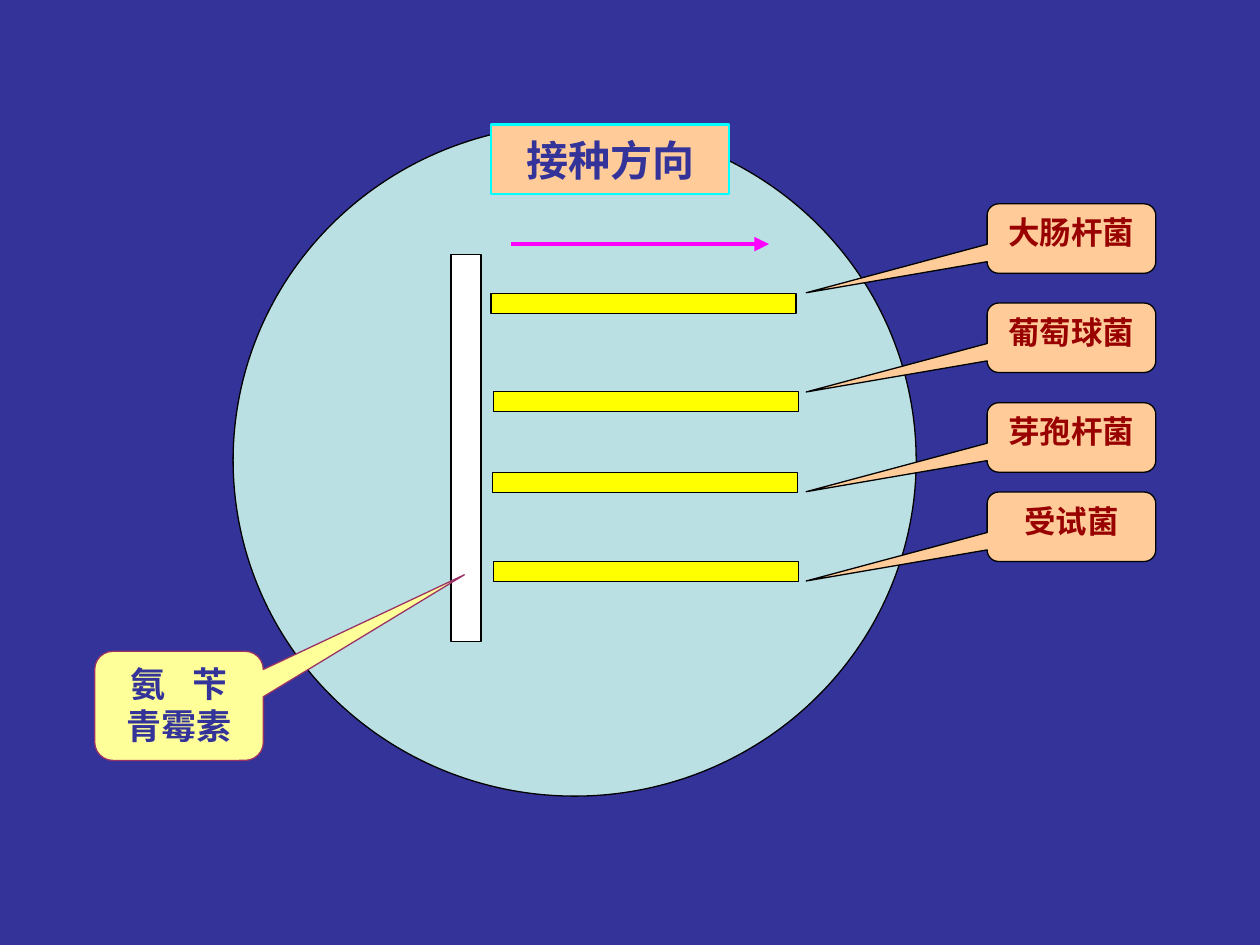
from lxml import etree
from pptx import Presentation
from pptx.dml.color import RGBColor
from pptx.enum.shapes import MSO_CONNECTOR, MSO_SHAPE
from pptx.enum.text import MSO_ANCHOR, PP_ALIGN
from pptx.oxml.ns import qn
from pptx.util import Cm, Pt

COLORS = {
    "navy": "333399", "agar": "BBE0E3", "white": "FFFFFF", "black": "000000",
    "yellow": "FFFF00", "peach": "FFCC99", "cream": "FFFF99", "plum": "993366",
    "red": "990000", "magenta": "FF00FF", "cyan": "00FFFF",
}


def rgb(name):
    return RGBColor.from_string(COLORS[name])


class PlateDiagram:
    font = "Roboto"

    def __init__(self, slide):
        self.slide = slide
        slide.background.fill.solid()
        slide.background.fill.fore_color.rgb = rgb("navy")

    def shape(self, kind, box, fill, line="black", width=0.75):
        shape = self.slide.shapes.add_shape(kind, *map(Cm, box))
        shape.shadow.inherit = False
        shape.fill.solid()
        shape.fill.fore_color.rgb = rgb(fill)
        shape.line.color.rgb = rgb(line)
        shape.line.width = Pt(width)
        return shape

    def caption(self, shape, text, size, color, anchor=MSO_ANCHOR.TOP):
        frame = shape.text_frame
        frame.text = text
        frame.vertical_anchor = anchor
        for paragraph in frame.paragraphs:
            paragraph.alignment = PP_ALIGN.CENTER
            for run in paragraph.runs:
                run.font.name = self.font
                run.font.size = Pt(size)
                run.font.bold = True
                run.font.color.rgb = rgb(color)
                east_asian = etree.SubElement(run._r.get_or_add_rPr(), qn("a:ea"))
                east_asian.set("typeface", self.font)
        return frame

    def callout(self, box, pointer, text, size, color, fill, line="black"):
        callout = self.shape(MSO_SHAPE.ROUNDED_RECTANGULAR_CALLOUT, box, fill, line)
        for index, value in enumerate((*pointer, 0.167)):
            callout.adjustments[index] = value
        return self.caption(callout, text, size, color)

    def label(self, box, text):
        label = self.shape(MSO_SHAPE.RECTANGLE, box, "peach", "cyan", 1.25)
        frame = self.caption(label, text, 24, "navy", MSO_ANCHOR.MIDDLE)
        frame.word_wrap = False
        frame.margin_left = frame.margin_right = 0
        frame.margin_top = frame.margin_bottom = 0

    def arrow(self, left, right, y):
        arrow = self.slide.shapes.add_connector(
            MSO_CONNECTOR.STRAIGHT, Cm(left), Cm(y), Cm(right), Cm(y))
        arrow.line.color.rgb = rgb("magenta")
        arrow.line.width = Pt(2.75)
        etree.SubElement(arrow.line._get_or_add_ln(), qn("a:tailEnd")).set("type", "triangle")
        etree.SubElement(arrow._element.spPr, qn("a:effectLst"))


def main():
    deck = Presentation()
    deck.slide_width, deck.slide_height = Cm(25.4), Cm(19.05)
    plate = PlateDiagram(deck.slides.add_slide(deck.slide_layouts[6]))

    plate.shape(MSO_SHAPE.OVAL, (4.7, 2.51, 13.77, 13.54), "agar")
    plate.shape(MSO_SHAPE.RECTANGLE, (9.09, 5.13, 0.61, 7.8), "white")

    bacteria = [
        ("大肠杆菌", 9.9, 5.92, 4.11),
        ("葡萄球菌", 9.95, 7.9, 6.11),
        ("芽孢杆菌", 9.93, 9.53, 8.12),
        ("受试菌", 9.95, 11.32, 9.92),
    ]
    for name, streak_left, streak_top, name_top in bacteria:
        plate.shape(MSO_SHAPE.RECTANGLE, (streak_left, streak_top, 6.15, 0.4), "yellow")
        plate.callout((19.9, name_top, 3.4, 1.4), (-1.573, 0.781),
                      name, 18, "red", "peach")

    ampicillin = plate.callout((1.91, 13.13, 3.4, 2.2), (1.692, -1.201),
                               "氨 苄\n青霉素", 20, "navy", "cream", "plum")
    ampicillin.paragraphs[0].runs[0]._r.get_or_add_rPr().set("spc", "500")

    plate.arrow(10.3, 15.5, 4.92)
    plate.label((9.9, 2.51, 4.8, 1.4), "接种方向")

    deck.save("out.pptx")


if __name__ == "__main__":
    main()
